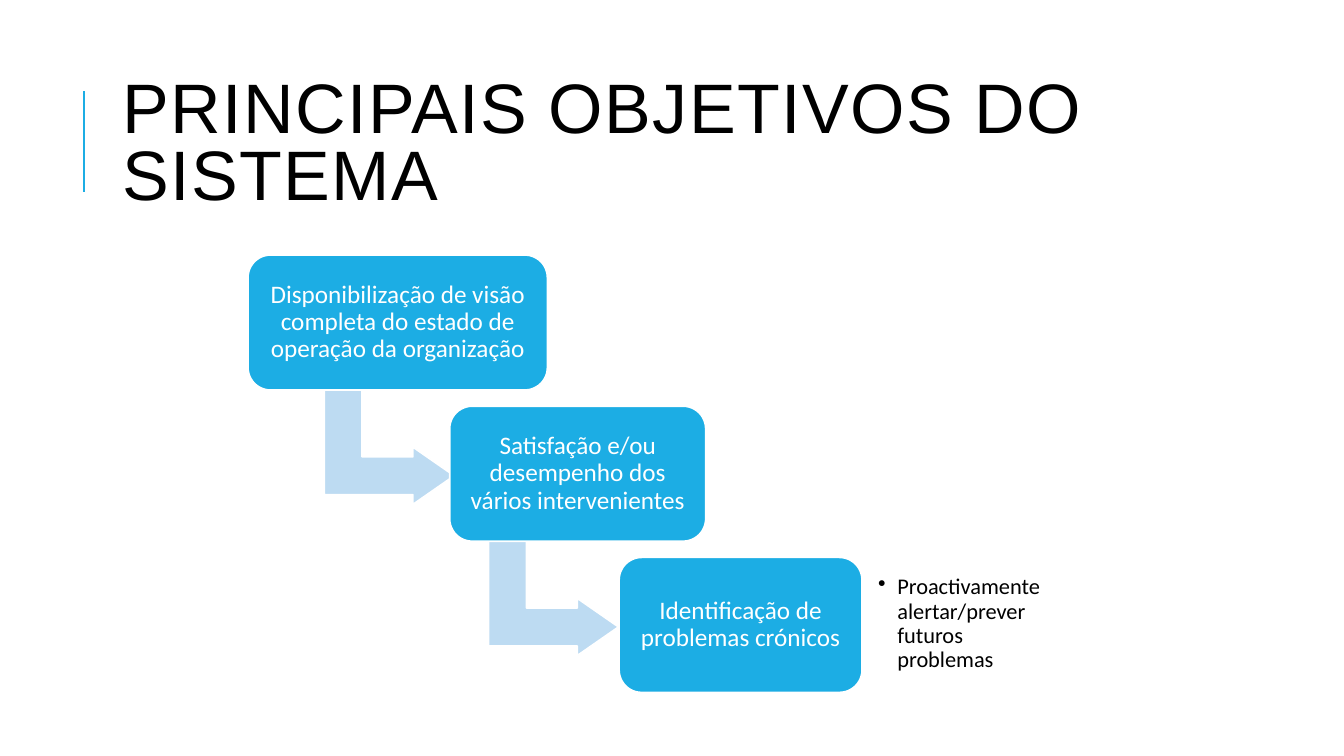
"""Builds the slide of the system's main goals as a staircase of three steps."""
from dataclasses import dataclass

from lxml import etree
from pptx import Presentation, util as u
from pptx.dml.color import RGBColor
from pptx.enum import shapes, text
from pptx.oxml import ns


@dataclass(frozen=True)
class Theme:
    blue: str = "1CADE4"
    pale: str = "BDDBF2"
    white: str = "FFFFFF"
    black: str = "000000"
    head: str = "Arial"
    body: str = "Calibri"
    title: int = 50
    step: int = 18
    note: int = 16
    edge: float = 1.25
    rule: float = 1.5


class Slide:
    def __init__(self, deck, theme):
        self.theme = theme
        self.page = deck.slides.add_slide(deck.slide_layouts[6])

    def label(self, shape, words, size, font, color, inset, space):
        frame = shape.text_frame
        frame.word_wrap = True
        frame.vertical_anchor = text.MSO_ANCHOR.MIDDLE
        frame.margin_left = frame.margin_right = u.Inches(inset[0])
        frame.margin_top = frame.margin_bottom = u.Inches(inset[1])
        para = frame.paragraphs[0]
        para.line_spacing = space
        run = para.add_run()
        run.text = words
        run.font.size = u.Pt(size)
        run.font.name = font
        run.font.color.rgb = RGBColor.from_string(color)
        return para, run

    def shape(self, kind, box, fill):
        item = self.page.shapes.add_shape(kind, *map(u.Inches, box))
        item.shadow.inherit = False
        item.fill.solid()
        item.fill.fore_color.rgb = RGBColor.from_string(fill)
        item.line.color.rgb = RGBColor.from_string(self.theme.white)
        item.line.width = u.Pt(self.theme.edge)
        return item

    def rule(self, x, top, end):
        line = self.page.shapes.add_connector(
            shapes.MSO_CONNECTOR.STRAIGHT, *map(u.Inches, (x, end, x, top)))
        line.line.color.rgb = RGBColor.from_string(self.theme.blue)
        line.line.width = u.Pt(self.theme.rule)
        etree.SubElement(line._element.spPr, ns.qn("a:effectLst"))

    def title(self, box, words):
        t = self.theme
        item = self.page.shapes.add_textbox(*map(u.Inches, box))
        _, run = self.label(item, words, t.title, t.head, t.black, (0.1, 0.05), 0.8)
        run.font._element.set("spc", "100")

    def arrow(self, box):
        item = self.shape(shapes.MSO_SHAPE.BENT_UP_ARROW, box, self.theme.pale)
        item.rotation = 90
        for i, ratio in enumerate((0.33, 0.25, 0.36)):
            item.adjustments[i] = ratio

    def step(self, box, words):
        t = self.theme
        item = self.shape(shapes.MSO_SHAPE.ROUNDED_RECTANGLE, box, t.blue)
        para, _ = self.label(item, words, t.step, t.body, t.white, (0.07, 0.07), 0.9)
        para.alignment = text.PP_ALIGN.CENTER

    def note(self, box, words):
        t = self.theme
        item = self.page.shapes.add_textbox(*map(u.Inches, box))
        para, _ = self.label(item, words, t.note, t.body, t.black, (0.09, 0.09), 0.9)
        props = para._p.get_or_add_pPr()
        props.set("marL", str(u.Inches(0.19)))
        props.set("indent", str(-u.Inches(0.19)))
        etree.SubElement(props, ns.qn("a:buChar")).set("char", "•")


STEPS = (
    (2.46, 2.97, 3.29, "Disponibilização de visão completa do estado de operação da organização"),
    (4.46, 2.54, 4.92, "Satisfação e/ou desempenho dos vários intervenientes"),
    (6.14, 2.41, None, "Identificação de problemas crónicos"),
)
TOP, DROP, HIGH = 2.53, 1.5, 1.34

deck = Presentation()
deck.slide_width, deck.slide_height = u.Inches(13.33), u.Inches(7.5)
slide = Slide(deck, Theme())
slide.rule(0.83, 0.9, 1.9)
slide.title((1.12, 0.64, 10.63, 1.64), "PRINCIPAIS OBJETIVOS DO SISTEMA")
for i, (left, wide, turn, words) in enumerate(STEPS):
    top = TOP + i * DROP
    if turn:
        slide.arrow((turn, top + 1.26, 1.14, 1.29))
    slide.step((left, top, wide, HIGH), words)
slide.note((8.62, 5.65, 1.96, 1.08), "Proactivamente alertar/prever futuros problemas")
deck.save("out.pptx")
